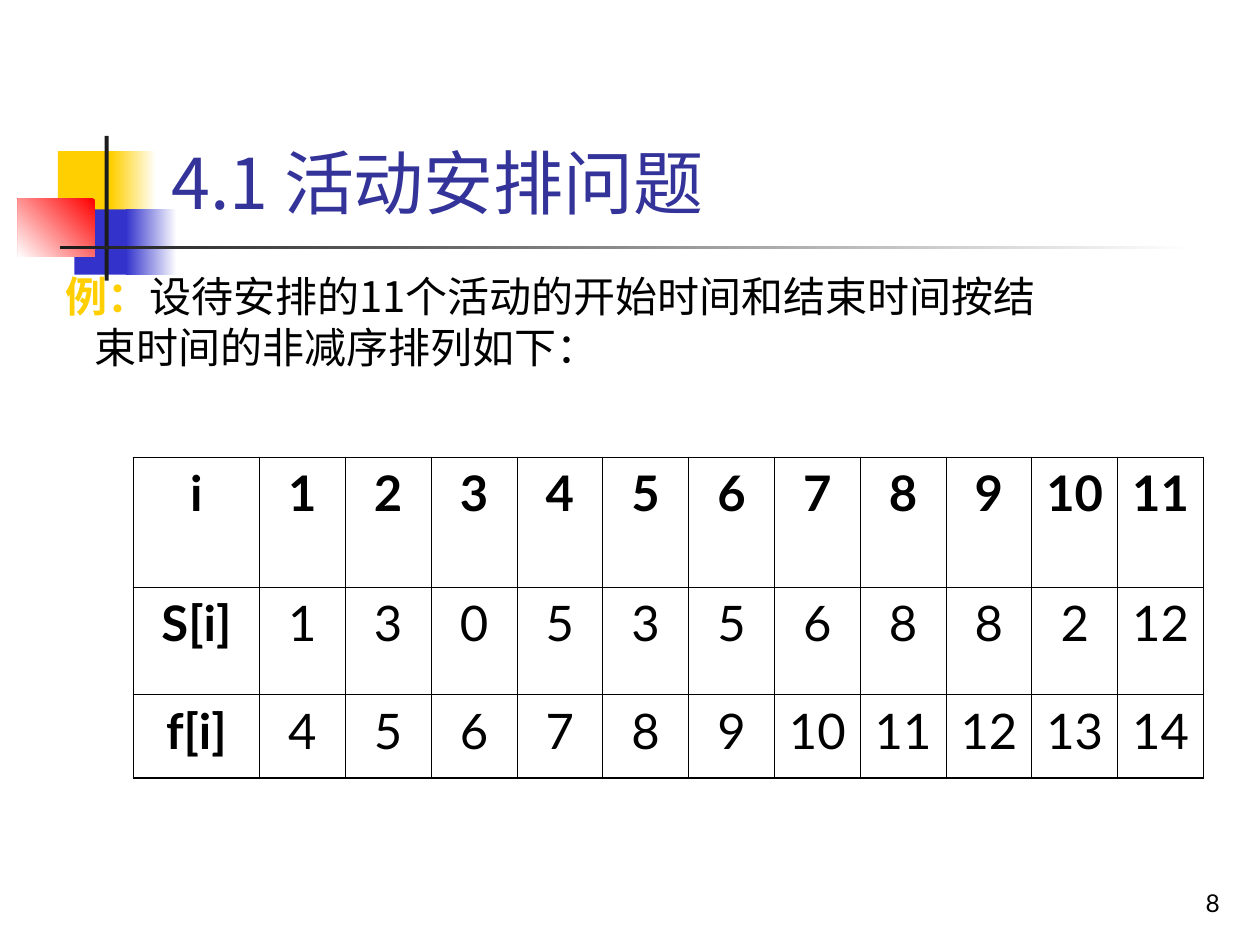
from lxml.etree import SubElement, Element
from pptx import Presentation
from pptx.dml.color import RGBColor
from pptx.enum.shapes import MSO_SHAPE
from pptx.enum.text import MSO_ANCHOR, MSO_AUTO_SIZE, PP_ALIGN
from pptx.oxml.ns import qn
from pptx.util import Cm, Pt

COLORS = {
    "yellow": "FFCF01",
    "blue": "3333CC",
    "red": "FF0000",
    "dark": "1C1C1C",
    "white": "FFFFFF",
    "title": "333399",
    "text": "000000",
}
CJK, LATIN = "Noto Sans CJK SC", "Lato"
THICK, THIN = Pt(1.08), Pt(0.45)


def rgb(name):
    return RGBColor.from_string(COLORS[name])


class ActivitySlide:
    def __init__(self, deck):
        self.slide = deck.slides.add_slide(deck.slide_layouts[1])

    def style(self, paragraph, size, face, color="text", bold=False):
        font = paragraph.font
        font.size, font.name, font.bold = Pt(size), face, bold
        font.color.rgb = rgb(color)
        SubElement(font._element, qn("a:ea"), typeface=face)

    def place(self, holder, left, top, width, height, anchor):
        holder.left, holder.top = Cm(left), Cm(top)
        holder.width, holder.height = Cm(width), Cm(height)
        frame = holder.text_frame
        frame.word_wrap = True
        frame.auto_size = MSO_AUTO_SIZE.NONE
        frame.vertical_anchor = anchor
        return frame.paragraphs[0]

    def block(self, left, top, width, height, start, end=None, angle=0):
        block = self.slide.shapes.add_shape(
            MSO_SHAPE.RECTANGLE, Cm(left), Cm(top), Cm(width), Cm(height))
        block.shadow.inherit = False
        block.line.fill.background()
        if end:
            block.fill.gradient()
            block.fill.gradient_angle = angle
            for stop, color in zip(block.fill.gradient_stops, (start, end)):
                stop.color.rgb = rgb(color)
        else:
            block.fill.solid()
            block.fill.fore_color.rgb = rgb(start)
        self.slide.shapes.title._element.addprevious(block._element)

    def title(self, text, *box):
        heading = self.place(self.slide.shapes.title, *box, MSO_ANCHOR.BOTTOM)
        heading.text = text
        heading.alignment = PP_ALIGN.LEFT
        self.style(heading, 40, CJK, "title")

    def body(self, label, text, *box):
        example = self.place(self.slide.placeholders[1], *box, MSO_ANCHOR.TOP)
        example.space_before, example.line_spacing = Pt(6), Pt(28.8)
        props = example._p.get_or_add_pPr()
        props.set("marL", str(Cm(0.97)))
        props.set("indent", str(Cm(-0.6)))
        SubElement(props, qn("a:buNone"))
        self.style(example, 24, CJK)
        lead = example.add_run()
        lead.text = label
        lead.font.bold = True
        lead.font.color.rgb = rgb("yellow")
        example.add_run().text = text

    def borders(self, cell, widths):
        props = cell._tc.get_or_add_tcPr()
        for position, (side, width) in enumerate(zip("LRTB", widths)):
            edge = Element(qn(f"a:ln{side}"), w=str(width))
            fill = SubElement(edge, qn("a:solidFill"))
            SubElement(fill, qn("a:srgbClr"), val=COLORS["text"])
            props.insert(position, edge)

    def table(self, rows, left, top, widths, heights):
        last_row, last_col = len(rows) - 1, len(widths) - 1
        grid = self.slide.shapes.add_table(
            len(rows), len(widths), Cm(left), Cm(top),
            Cm(sum(widths)), Cm(sum(heights))).table
        grid.first_row = grid.horz_banding = False
        for column, width in zip(grid.columns, widths):
            column.width = Cm(width)
        for r, (values, height) in enumerate(zip(rows, heights)):
            grid.rows[r].height = Cm(height)
            for c, value in enumerate(values):
                cell = grid.cell(r, c)
                cell.fill.background()
                outer = (c == 0, c == last_col, r == 0, r == last_row)
                self.borders(cell, [THICK if edge else THIN for edge in outer])
                entry = cell.text_frame.paragraphs[0]
                entry.text = str(value)
                entry.alignment = PP_ALIGN.CENTER
                entry.space_before = Pt(7)
                self.style(entry, 28, LATIN, bold=r == 0 or c == 0)

    def page_number(self, number, *box):
        holder = self.slide.shapes.add_textbox(0, 0, 0, 0)
        page = self.place(holder, *box, MSO_ANCHOR.BOTTOM)
        page.text = str(number)
        page.alignment = PP_ALIGN.RIGHT
        self.style(page, 14, LATIN)


def main():
    deck = Presentation()
    deck.slide_width, deck.slide_height = Cm(25.4), Cm(19.05)
    page = ActivitySlide(deck)

    page.block(1.17, 3.05, 1.22, 1.32, "yellow")
    page.block(2.24, 3.05, 0.91, 1.32, "white", "yellow", 180)
    page.block(1.5, 4.22, 1.17, 1.32, "blue")
    page.block(2.54, 4.22, 1.02, 1.32, "white", "blue", 180)
    page.block(0.36, 4.01, 1.55, 1.17, "red", "white", 225)
    page.block(2.11, 2.74, 0.08, 2.92, "dark")
    page.block(1.22, 4.95, 22.86, 0.08, "white", "dark", 180)

    page.title("4.1 活动安排问题", 3.2, 0.58, 21.64, 4.06)
    page.body("例：", "设待安排的11个活动的开始时间和结束时间按结束时间的非减序排列如下：",
              0.69, 5.33, 21.01, 3.02)
    activities = [
        ["i", *range(1, 12)],
        ["S[i]", 1, 3, 0, 5, 3, 5, 6, 8, 8, 2, 12],
        ["f[i]", *range(4, 15)],
    ]
    page.table(activities, 2.69, 9.22, [2.54] + [1.73] * 11, [2.62, 2.16, 1.68])
    page.page_number(8, 19.56, 17.35, 5.28, 1.27)
    deck.save("out.pptx")


if __name__ == "__main__":
    main()
